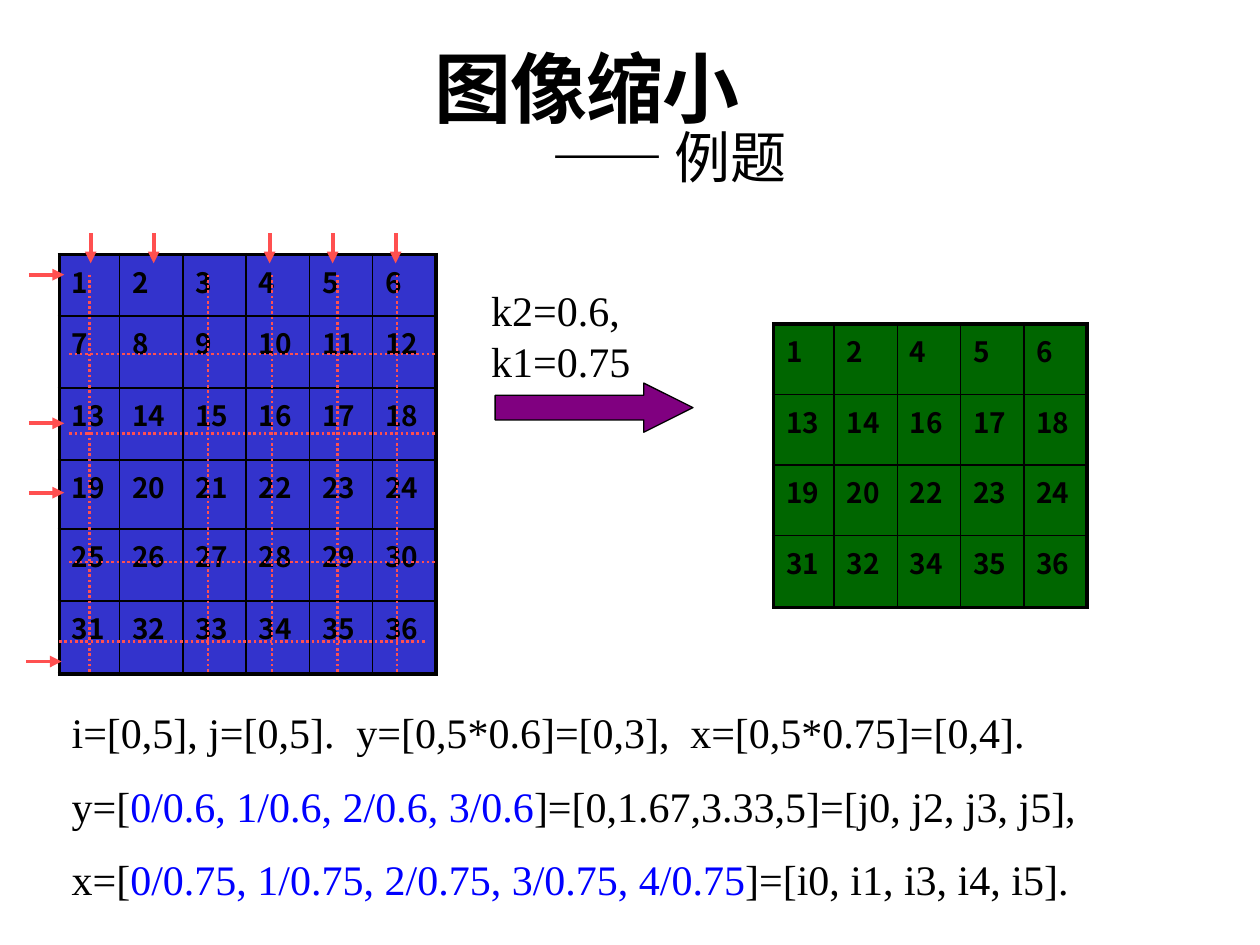
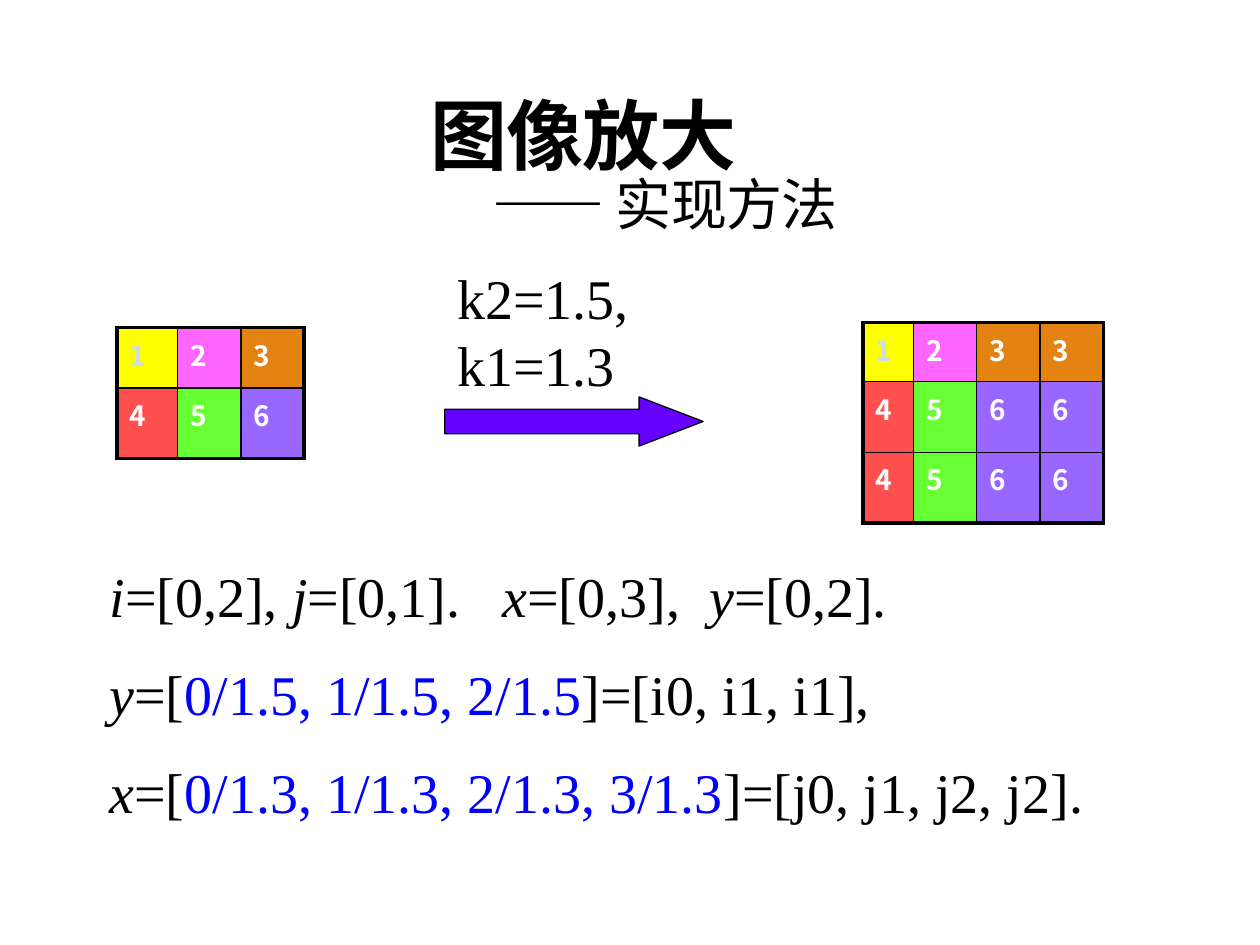
"""Build two slides on shrinking and enlarging an image by resampling its pixel grid."""
from lxml import etree
from pptx import Presentation
from pptx import util as u
from pptx.dml.color import RGBColor
from pptx.enum import dml, shapes, text
from pptx.oxml.ns import qn

COLOURS = {
    "ink": "000000", "white": "FFFFFF", "pale": "CCDDEA", "formula": "0000FF",
    "marker": "FF5050", "source": "3333CC", "result": "006600",
    "shrink": "800080", "enlarge": "6600FF",
}
PIXEL_FILLS = {1: "FFFF00", 2: "FF66FF", 3: "E48312", 4: "FF5050", 5: "66FF33", 6: "9966FF"}
SERIF, SANS, CJK = "Times New Roman", "Arial", "Noto Sans CJK SC"
CELL = u.Inches(0.1)
COLUMNS, ROWS = 100, 75


def grid(*counts):
    """Turn counts of grid cells into lengths."""
    return [u.Emu(round(count * CELL)) for count in counts]


def style(font, size, name=SERIF, colour=COLOURS["ink"], bold=None):
    """Set size, typeface, colour and weight of a font."""
    font.size, font.name, font.bold = u.Pt(size), name, bold
    font.color.rgb = RGBColor.from_string(colour)


row_arrows = [(2.3, y, 5.1, y) for y in (21.8, 33.6, 39.1)] + [(2.1, 52.5, 4.9, 52.5)]
column_arrows = [(x, 18.5, x, 20.9) for x in (7.2, 12.2, 21.4, 26.4, 31.4)]
row_dots = [(5.5, y, 34.6, y) for y in (28.1, 34.4, 44.6)] + [(4.7, 50.9, 33.8, 50.9)]
column_dots = [(x, 21.8, x, 53.3) for x in (7.1, 16.5, 21.6, 26.8, 31.5)]

lessons = [
    {
        "title": "图像缩小", "subtitle": "例题", "title_box": (8.4, 2.2, 76.4, 13.4),
        "title_font": SERIF,
        "arrow": (39.3, 30.4, 15.7, 3.9), "head": 1.0, "arrow_fill": COLOURS["shrink"],
        "factors": "k2=0.6, k1=0.75", "factors_box": (38, 22.1, 20.5, 9.1),
        "size": 24, "formulas_box": (4.7, 55.6, 91.8, 17.2), "tabs": (22.6, 49.1),
        "formulas": [
            ["i=[0,5], j=[0,5].\ty=[0,5*0.6]=[0,3],\tx=[0,5*0.75]=[0,4]."],
            ["y=[", "*0/0.6, 1/0.6, 2/0.6, 3/0.6", "]=[0,1.67,3.33,5]=[j0, j2, j3, j5],"],
            ["x=[", "*0/0.75, 1/0.75, 2/0.75, 3/0.75, 4/0.75", "]=[i0, i1, i3, i4, i5]."],
        ],
        "images": [
            {"at": (61.4, 25.7), "first": 4.8, "heights": (5.6, 5.6, 5.6, 5.7),
             "fill": COLOURS["result"],
             "pixels": [[6 * j + i + 1 for i in (0, 1, 3, 4, 5)] for j in (0, 2, 3, 5)]},
            {"at": (4.7, 20.2), "first": 4.8, "heights": (4.9, 5.7, 5.7, 5.5, 5.7, 5.8),
             "fill": COLOURS["source"],
             "pixels": [[6 * j + i + 1 for i in range(6)] for j in range(6)]},
        ],
        "arrows": row_arrows + column_arrows, "dots": row_dots + column_dots,
    },
    {
        "title": "图像放大", "subtitle": "实现方法", "title_box": (3.8, 6.8, 85, 12.5),
        "title_font": SANS,
        "arrow": (35.3, 31.5, 20.5, 3.9), "head": 1.3, "arrow_fill": COLOURS["enlarge"],
        "factors": "k2=1.5, k1=1.3", "factors_box": (35.3, 20.4, 22, 11.8),
        "size": 32, "formulas_box": (7.7, 44.1, 85.8, 22.6), "tabs": (31.2, 47.6),
        "formulas": [
            ["_i", "=[0,2], ", "_j", "=[0,1].\t", "_x", "=[0,3],\t", "_y", "=[0,2]."],
            ["_y", "=[", "*0/1.5, 1/1.5, 2/1.5", "]=[i0, i1, i1],"],
            ["_x", "=[", "*0/1.3, 1/1.3, 2/1.3, 3/1.3", "]=[j0, j1, j2, j2]."],
        ],
        "images": [
            {"at": (68.5, 25.6), "first": 4, "heights": (4.7, 5.6, 5.6), "fill": None,
             "pixels": [[1, 2, 3, 3], [4, 5, 6, 6], [4, 5, 6, 6]]},
            {"at": (9.3, 26), "first": 4.8, "heights": (4.8, 5.6), "fill": None,
             "pixels": [[1, 2, 3], [4, 5, 6]]},
        ],
        "arrows": [], "dots": [],
    },
]

deck = Presentation()
deck.slide_width, deck.slide_height = grid(COLUMNS, ROWS)

for lesson in lessons:
    slide = deck.slides.add_slide(deck.slide_layouts[6])

    heading = slide.shapes.add_textbox(*grid(*lesson["title_box"])).text_frame
    heading.word_wrap, heading.vertical_anchor = True, text.MSO_ANCHOR.BOTTOM
    title, subtitle = heading.paragraphs[0], heading.add_paragraph()
    subtitle._p.get_or_add_pPr().set("marL", str(grid(13)[0]))
    for line, words, size, name, bold in (
        (title, lesson["title"], 44, lesson["title_font"], True),
        (subtitle, "—— ", 32, SERIF, True),
        (subtitle, lesson["subtitle"], 32, SANS, False),
    ):
        line.alignment, line.line_spacing = text.PP_ALIGN.CENTER, 0.85
        run = line.add_run()
        run.text = words
        style(run.font, size, name, bold=bold)
        run._r.get_or_add_rPr().set("spc", "-50")

    arrow = slide.shapes.add_shape(shapes.MSO_SHAPE.RIGHT_ARROW, *grid(*lesson["arrow"]))
    arrow.adjustments[1] = lesson["head"]
    arrow.shadow.inherit = False
    arrow.fill.solid()
    arrow.fill.fore_color.rgb = RGBColor.from_string(lesson["arrow_fill"])
    arrow.line.color.rgb = RGBColor.from_string(COLOURS["ink"])
    arrow.line.width = u.Pt(0.75)

    factors = slide.shapes.add_textbox(*grid(*lesson["factors_box"])).text_frame
    factors.word_wrap = True
    factors.text = lesson["factors"]
    style(factors.paragraphs[0].font, lesson["size"])

    formulas = slide.shapes.add_textbox(*grid(*lesson["formulas_box"])).text_frame
    formulas.word_wrap = True
    for number, pieces in enumerate(lesson["formulas"]):
        formula = formulas.add_paragraph() if number else formulas.paragraphs[0]
        if number:
            formula.space_before = u.Pt(0.55 * lesson["size"])
        else:
            stops = etree.SubElement(formula._p.get_or_add_pPr(), qn("a:tabLst"))
            for stop in grid(*lesson["tabs"]):
                etree.SubElement(stops, qn("a:tab"), pos=str(stop), algn="l")
        style(formula.font, lesson["size"])
        for piece in pieces:
            run = formula.add_run()
            run.text = piece.lstrip("_*")
            if piece.startswith("_"):
                run.font.italic = True
            elif piece.startswith("*"):
                run.font.color.rgb = RGBColor.from_string(COLOURS["formula"])

    for image in lesson["images"]:
        pixels, heights = image["pixels"], image["heights"]
        widths = [image["first"]] + [5.02] * (len(pixels[0]) - 1)
        table = slide.shapes.add_table(
            len(heights), len(widths), *grid(*image["at"], sum(widths), sum(heights))).table
        table.first_row = table.horz_banding = False
        for column, width in zip(table.columns, grid(*widths)):
            column.width = width
        for row, height in zip(table.rows, grid(*heights)):
            row.height = height
        for j, values in enumerate(pixels):
            for i, value in enumerate(values):
                pixel = table.cell(j, i)
                pixel.text = str(value)
                if image["fill"]:
                    colour = COLOURS["ink"]
                else:
                    colour = COLOURS["pale" if value == 1 else "white"]
                style(pixel.text_frame.paragraphs[0].font, 16, CJK, colour, True)
                edges = {"a:lnL": i == 0, "a:lnR": i == len(values) - 1,
                         "a:lnT": j == 0, "a:lnB": j == len(pixels) - 1}
                for tag, outer in edges.items():
                    border = etree.SubElement(pixel._tc.get_or_add_tcPr(), qn(tag),
                                              w=str(u.Pt(2.25 if outer else 1)))
                    ink = etree.SubElement(border, qn("a:solidFill"))
                    etree.SubElement(ink, qn("a:srgbClr"), val=COLOURS["ink"])
                pixel.fill.solid()
                pixel.fill.fore_color.rgb = RGBColor.from_string(
                    image["fill"] or PIXEL_FILLS[value])

    for kind, width in (("arrows", 2.25), ("dots", 1.5)):
        for ends in lesson[kind]:
            marker = slide.shapes.add_connector(shapes.MSO_CONNECTOR.STRAIGHT, *grid(*ends))
            marker.line.color.rgb = RGBColor.from_string(COLOURS["marker"])
            marker.line.width = u.Pt(width)
            if kind == "dots":
                marker.line.dash_style = dml.MSO_LINE.ROUND_DOT
            else:
                etree.SubElement(marker.line._get_or_add_ln(), qn("a:tailEnd"), type="triangle")
            etree.SubElement(marker._element.spPr, qn("a:effectLst"))

deck.save("out.pptx")
